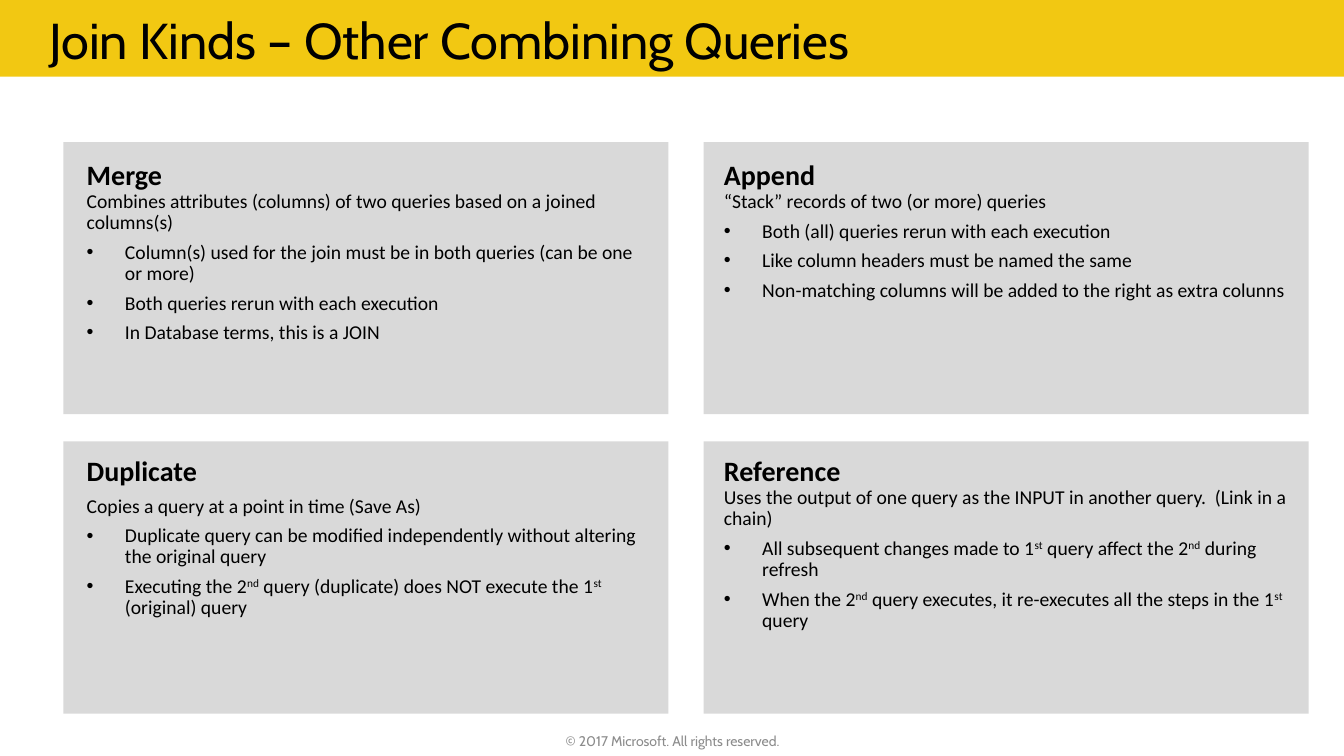
from dataclasses import dataclass

from lxml import etree
from pptx import Presentation
from pptx.dml.color import RGBColor
from pptx.enum.shapes import MSO_SHAPE
from pptx.enum.text import MSO_ANCHOR, MSO_AUTO_SIZE, PP_ALIGN
from pptx.oxml.ns import qn
from pptx.util import Emu, Pt

EMU_PER_PX = 9144
RECTANGLE = MSO_SHAPE.RECTANGLE
GROW = MSO_AUTO_SIZE.SHAPE_TO_FIT_TEXT
MIDDLE = MSO_ANCHOR.MIDDLE
CENTER = PP_ALIGN.CENTER
YELLOW = RGBColor(0xF2, 0xC8, 0x12)
PANEL_GRAY = RGBColor(0xD9, 0xD9, 0xD9)
FOOTER_GRAY = RGBColor(0x8C, 0x8C, 0x8C)
BLACK = RGBColor(0, 0, 0)
COLUMNS = (63, 698)
ROWS = (141, 438)
PANEL_WIDTH, PANEL_HEIGHT = 600, 270
BULLET_INDENT = 38
SUPERSCRIPT_MARK = "^"


@dataclass(frozen=True)
class Panel:
    """A query operation, its grid cell, text box place and wording."""

    column: int
    row: int
    text_left: int
    text_top: int
    text_height: int
    heading: str
    summary: str
    bullets: tuple[str, ...]
    summary_on_new_paragraph: bool = False


PANELS = (
    Panel(0, 0, 66, 144, 236, "Merge",
          "Combines attributes (columns) of two queries based on a joined columns(s)",
          ("Column(s) used for the join must be in both queries (can be one or more)",
           "Both queries rerun with each execution",
           "In Database terms, this is a JOIN")),
    Panel(1, 0, 698, 144, 236, "Append",
          "“Stack” records of two (or more) queries",
          ("Both (all) queries rerun with each execution",
           "Like column headers must be named the same",
           "Non-matching columns will be added to the right as extra colunns")),
    Panel(0, 1, 66, 438, 223, "Duplicate",
          "Copies a query at a point in time (Save As)",
          ("Duplicate query can be modified independently without altering the original query",
           "Executing the 2^nd^ query (duplicate) does NOT execute the 1^st^ (original) query"),
          summary_on_new_paragraph=True),
    Panel(1, 1, 698, 438, 236, "Reference",
          "Uses the output of one query as the INPUT in another query.  (Link in a chain)",
          ("All subsequent changes made to 1^st^ query affect the 2^nd^ during refresh",
           "When the 2^nd^ query executes, it re-executes all the steps in the 1^st^ query")),
)


def px(length: int) -> Emu:
    """Turn px into EMU."""
    return Emu(length * EMU_PER_PX)


def add_block(slide, left: int, top: int, width: int, height: int, color: RGBColor) -> None:
    """Draw a plain filled rectangle."""
    shape = slide.shapes.add_shape(RECTANGLE, px(left), px(top), px(width), px(height))
    shape.shadow.inherit = False
    shape.fill.solid()
    shape.fill.fore_color.rgb = color
    shape.line.fill.background()


def add_text_frame(slide, left: int, top: int, width: int, height: int):
    """Add a wrapping text box and return its text frame."""
    text_frame = slide.shapes.add_textbox(px(left), px(top), px(width), px(height)).text_frame
    text_frame.word_wrap = True
    return text_frame


def format_run(run, size: int, name: str = "Calibri", color: RGBColor = BLACK,
               bold: bool = False) -> None:
    """Set the font of a run."""
    run.font.size = Pt(size)
    run.font.name = name
    run.font.color.rgb = color
    run.font.bold = bold


def space_paragraph(paragraph) -> None:
    """Set the panel line and paragraph spacing."""
    paragraph.line_spacing = 0.9
    paragraph.space_after = Pt(6)


def add_bullet(text_frame, text: str) -> None:
    """Add a bulleted paragraph, raising the segments between marks."""
    paragraph = text_frame.add_paragraph()
    space_paragraph(paragraph)
    properties = paragraph._p.get_or_add_pPr()
    properties.set("marL", str(px(BULLET_INDENT)))
    properties.set("indent", str(-px(BULLET_INDENT)))
    etree.SubElement(properties, qn("a:buFont")).set("typeface", "Arial")
    etree.SubElement(properties, qn("a:buChar")).set("char", "•")
    for index, segment in enumerate(text.split(SUPERSCRIPT_MARK)):
        run = paragraph.add_run()
        run.text = segment
        format_run(run, 14)
        if index % 2:
            run._r.get_or_add_rPr().set("baseline", "30000")


def add_panel_text(slide, panel: Panel) -> None:
    """Write the heading, summary and bullets of a panel."""
    text_frame = add_text_frame(slide, panel.text_left, panel.text_top,
                                PANEL_WIDTH, panel.text_height)
    text_frame.auto_size = GROW
    text_frame.margin_left = text_frame.margin_right = px(20)
    text_frame.margin_top = text_frame.margin_bottom = px(16)
    separator = "\n" if panel.summary_on_new_paragraph else "\v"
    text_frame.text = panel.heading + separator + panel.summary
    for paragraph in text_frame.paragraphs:
        space_paragraph(paragraph)
    heading, summary = [run for paragraph in text_frame.paragraphs for run in paragraph.runs]
    format_run(heading, 20, bold=True)
    format_run(summary, 14)
    for bullet in panel.bullets:
        add_bullet(text_frame, bullet)


def add_title(slide) -> None:
    """Draw the title band and its text."""
    add_block(slide, 0, 0, 1333, 76, YELLOW)
    text_frame = add_text_frame(slide, 39, 4, 1214, 71)
    text_frame.auto_size = GROW
    text_frame.text = "Join Kinds – Other Combining Queries"
    format_run(text_frame.paragraphs[0].runs[0], 36, "Cabin")


def add_footer(slide) -> None:
    """Write the centred copyright line."""
    text_frame = add_text_frame(slide, 442, 723, 450, 25)
    text_frame.vertical_anchor = MIDDLE
    text_frame.text = "© 2017 Microsoft. All rights reserved."
    paragraph = text_frame.paragraphs[0]
    paragraph.alignment = CENTER
    format_run(paragraph.runs[0], 10, "Cabin", FOOTER_GRAY)


def main() -> None:
    """Build and save the slide."""
    presentation = Presentation()
    presentation.slide_width = px(1333)
    presentation.slide_height = px(750)
    slide = presentation.slides.add_slide(presentation.slide_layouts[6])
    add_title(slide)
    for panel in PANELS:
        add_block(slide, COLUMNS[panel.column], ROWS[panel.row],
                  PANEL_WIDTH, PANEL_HEIGHT, PANEL_GRAY)
    for panel in PANELS:
        add_panel_text(slide, panel)
    add_footer(slide)
    presentation.save("out.pptx")


if __name__ == "__main__":
    main()
